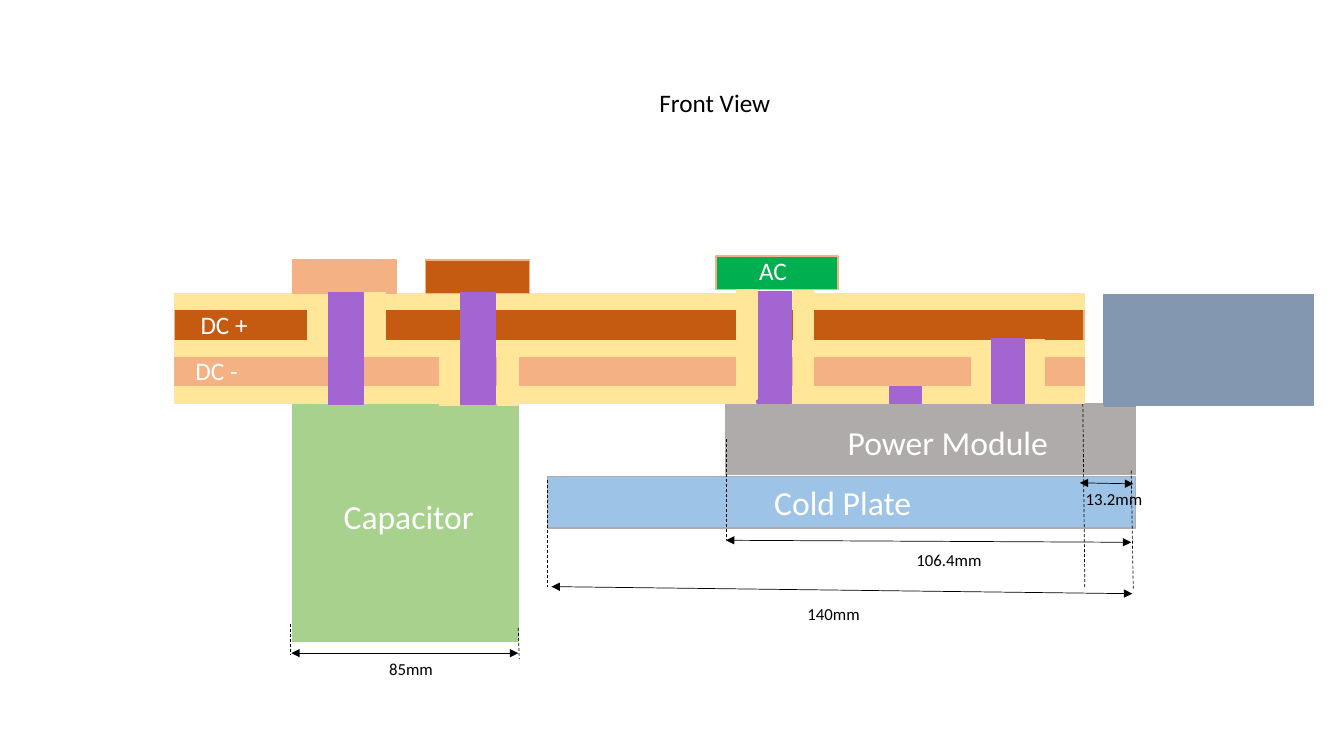
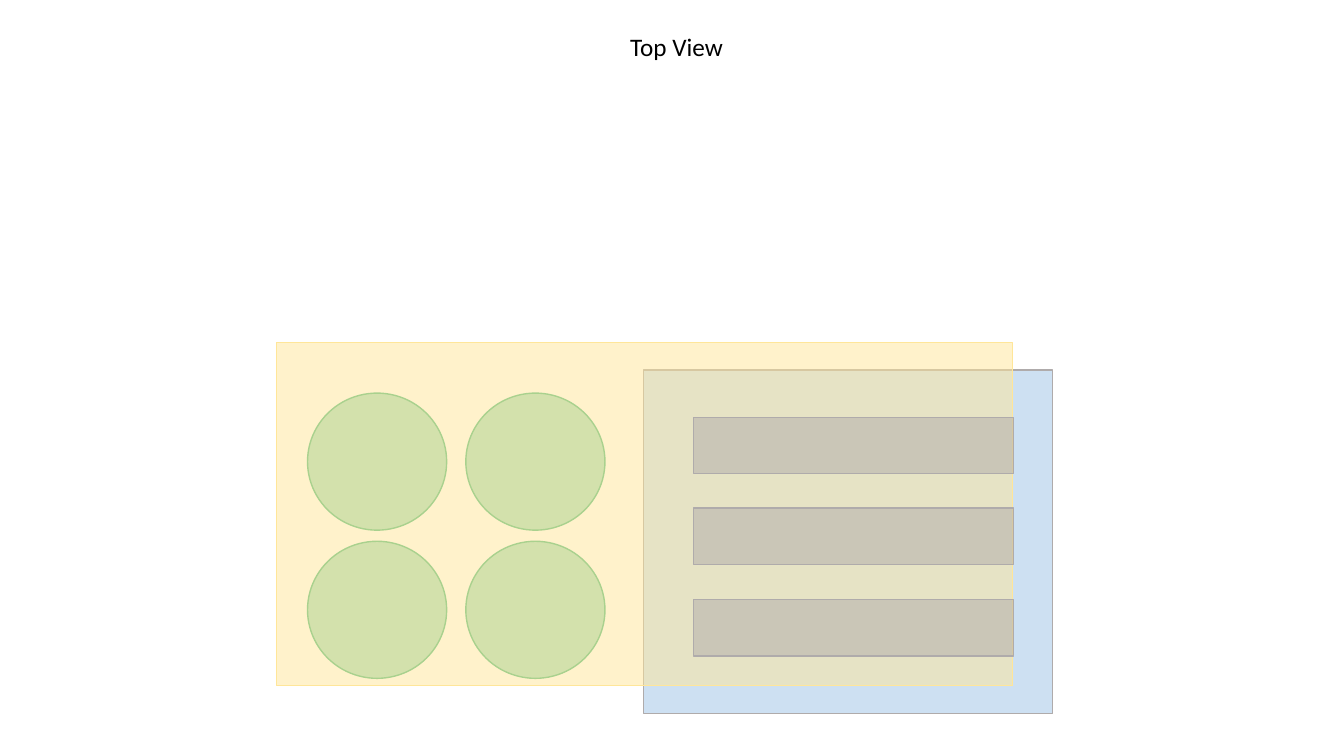
import pptx
import pptx.dml.color
import pptx.enum.dml
import pptx.enum.shapes
import pptx.enum.text
import pptx.oxml.ns
import pptx.util
from lxml import etree

Inches = pptx.util.Inches
Pt = pptx.util.Pt
RGBColor = pptx.dml.color.RGBColor
SHAPE = pptx.enum.shapes.MSO_SHAPE
qn = pptx.oxml.ns.qn

BLACK = RGBColor(0x00, 0x00, 0x00)
WHITE = RGBColor(0xFF, 0xFF, 0xFF)
DC_PLUS = RGBColor(0xC5, 0x5A, 0x11)
DC_MINUS = RGBColor(0xF4, 0xB1, 0x83)
AC = RGBColor(0x00, 0xB0, 0x50)
INSULATION = RGBColor(0xFF, 0xE6, 0x99)
PIN = RGBColor(0xA3, 0x65, 0xD1)
MODULE = RGBColor(0xAF, 0xAB, 0xAB)
PLATE = RGBColor(0x9D, 0xC3, 0xE6)
CAPACITOR = RGBColor(0xA9, 0xD1, 0x8E)
BLOCK = RGBColor(0x84, 0x97, 0xB0)


class Deck:
    """Holds the shared style and the slide being drawn."""

    FONT = "Calibri"
    TITLE_SIZE = 18

    def __init__(self):
        self.prs = pptx.Presentation()
        self.prs.slide_width = Inches(13.33)
        self.prs.slide_height = Inches(7.5)
        self.s = None

    def slide(self, title, x, y, w):
        self.s = self.prs.slides.add_slide(self.prs.slide_layouts[5])
        self.set_text(self.s.shapes.title, title, x, y, w, 0.4, self.TITLE_SIZE, BLACK)

    def set_text(self, sp, text, x, y, w, h, size, color):
        """Places a text holder and fills it with one formatted run."""
        sp.left, sp.top, sp.width, sp.height = map(Inches, (x, y, w, h))
        tf = sp.text_frame
        tf.word_wrap = True
        tf.auto_size = pptx.enum.text.MSO_AUTO_SIZE.SHAPE_TO_FIT_TEXT
        tf.vertical_anchor = pptx.enum.text.MSO_ANCHOR.TOP
        p = tf.paragraphs[0]
        p.alignment = pptx.enum.text.PP_ALIGN.LEFT
        r = p.add_run()
        r.text = text
        r.font.name = self.FONT
        r.font.size = Pt(size)
        r.font.color.rgb = color

    def label(self, text, x, y, w, h, size, color=WHITE):
        sp = self.s.shapes.add_textbox(0, 0, Inches(w), Inches(h))
        self.set_text(sp, text, x, y, w, h, size, color)

    def shape(self, x, y, w, h, fill, line=None, kind=SHAPE.RECTANGLE, opacity=100):
        sp = self.s.shapes.add_shape(kind, *map(Inches, (x, y, w, h)))
        sp.shadow.inherit = False
        sp.fill.solid()
        sp.fill.fore_color.rgb = fill
        if opacity < 100:
            color = sp._element.spPr.find(qn("a:solidFill")).find(qn("a:srgbClr"))
            etree.SubElement(color, qn("a:alpha")).set("val", str(opacity * 1000))
        sp.line.color.rgb = line or fill
        sp.line.width = Pt(1)

    def line(self, x1, y1, x2, y2):
        straight = pptx.enum.shapes.MSO_CONNECTOR.STRAIGHT
        c = self.s.shapes.add_connector(straight, *map(Inches, (x1, y1, x2, y2)))
        c.line.color.rgb = BLACK
        c.line.width = Pt(0.5)
        etree.SubElement(c._element.spPr, qn("a:effectLst"))
        return c

    def extension(self, x1, y1, x2, y2):
        c = self.line(x1, y1, x2, y2)
        c.line.dash_style = pptx.enum.dml.MSO_LINE.DASH

    def dimension(self, x1, y1, x2, y2):
        ln = self.line(x1, y1, x2, y2)._element.spPr.find(qn("a:ln"))
        for end in ("a:headEnd", "a:tailEnd"):
            etree.SubElement(ln, qn(end)).set("type", "triangle")


def front_view(deck):
    deck.slide("Front View", 6.44, 0.82, 1.52)

    bar_x, bar_w = 1.73, 9.02
    deck.shape(bar_x, 3.55, bar_w, 0.33, DC_MINUS)
    deck.shape(7.2, 4.01, 4.06, 0.7, MODULE)
    deck.shape(5.43, 4.73, 5.83, 0.51, PLATE, MODULE)
    deck.shape(2.9, 4.02, 2.24, 2.34, CAPACITOR)
    deck.shape(bar_x, 3.05, bar_w, 0.33, DC_PLUS, DC_MINUS)
    for y in (2.91, 3.38, 3.84):
        deck.shape(bar_x, y, bar_w, 0.16, INSULATION)

    for x, y, w, fill in ((7.1, 2.54, 1.21, AC),
                          (2.9, 2.58, 1.03, DC_MINUS),
                          (4.22, 2.58, 1.03, DC_PLUS)):
        deck.shape(x, y, w, 0.33, fill, DC_MINUS)

    for x, y, w, h in ((7.51, 2.89, 0.34, 1.11), (8.82, 3.84, 0.32, 0.16),
                       (4.57, 2.9, 0.34, 1.11), (3.26, 2.9, 0.34, 1.11)):
        deck.shape(x, y, w, h, PIN)
    for x, y, h in ((7.31, 2.87, 1.09), (7.87, 2.88, 1.09),
                    (9.64, 3.4, 0.59), (10.16, 3.37, 0.58),
                    (4.36, 3.43, 0.59), (4.94, 3.43, 0.59),
                    (3.05, 2.92, 0.59), (3.62, 2.9, 0.59)):
        deck.shape(x, y, 0.2, h, INSULATION)
    deck.shape(9.84, 3.36, 0.32, 0.64, PIN)

    for ends in ((10.71, 4.79, 11.24, 4.8), (7.2, 5.36, 11.22, 5.38),
                 (5.47, 5.82, 11.23, 5.89), (2.89, 6.48, 5.14, 6.48)):
        deck.dimension(*ends)
    for ends in ((7.2, 4.36, 7.2, 5.36), (11.22, 4.67, 11.24, 5.84),
                 (5.43, 4.76, 5.43, 5.82), (10.74, 4.01, 10.76, 5.84),
                 (5.14, 6.23, 5.15, 6.54), (2.88, 6.19, 2.88, 6.49)):
        deck.extension(*ends)
    for text, x, y, w in (("13.2mm", 10.67, 4.8, 0.78), ("106.4mm", 8.99, 5.4, 1.02),
                          ("140mm", 7.91, 5.94, 1.02), ("85mm", 3.76, 6.49, 1.02)):
        deck.label(text, x, y, w, 0.3, 12, BLACK)

    for text, x, y in (("DC +", 1.89, 3.02), ("DC -", 1.84, 3.48), ("AC", 7.43, 2.48)):
        deck.label(text, x, y, 0.71, 0.4, 18)
    for text, x, y, w in (("Capacitor", 3.31, 4.87, 1.6),
                          ("Power Module", 8.31, 4.14, 2.36),
                          ("Cold Plate", 7.58, 4.73, 1.6)):
        deck.label(text, x, y, w, 0.5, 24)

    deck.shape(10.96, 3.55, 0.3, 0.48, BLOCK)
    deck.shape(10.95, 2.92, 2.08, 1.1, BLOCK)


def top_view(deck):
    deck.slide("Top View", 6.15, 0.26, 3.19)
    deck.shape(6.38, 3.67, 4.06, 3.41, PLATE, MODULE, opacity=50)
    deck.shape(2.74, 3.4, 7.3, 3.4, INSULATION, opacity=50)
    for y in (4.14, 5.04, 5.95):
        deck.shape(6.88, y, 3.17, 0.56, MODULE, opacity=50)
    for x in (3.05, 4.62):
        for y in (3.9, 5.37):
            deck.shape(x, y, 1.38, 1.36, CAPACITOR, kind=SHAPE.OVAL, opacity=50)


def main():
    deck = Deck()
    front_view(deck)
    top_view(deck)
    deck.prs.save("out.pptx")


if __name__ == "__main__":
    main()
